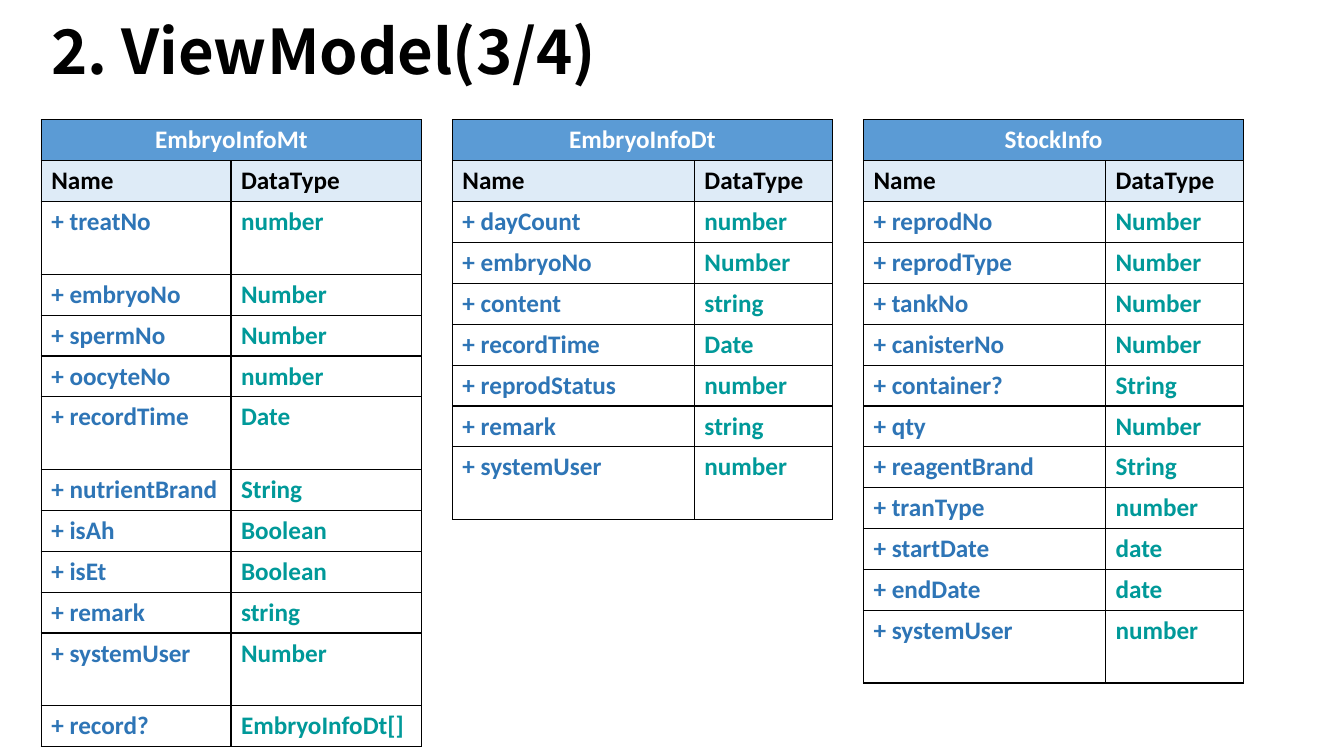
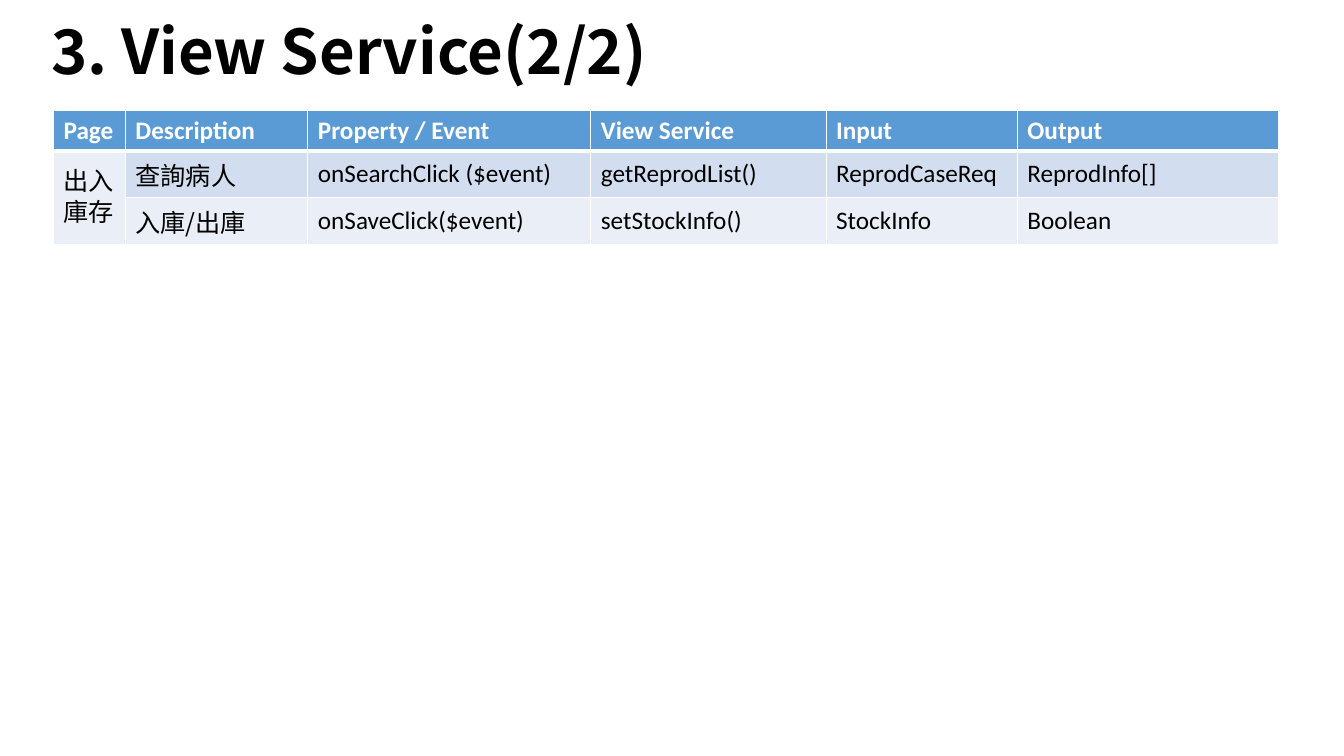
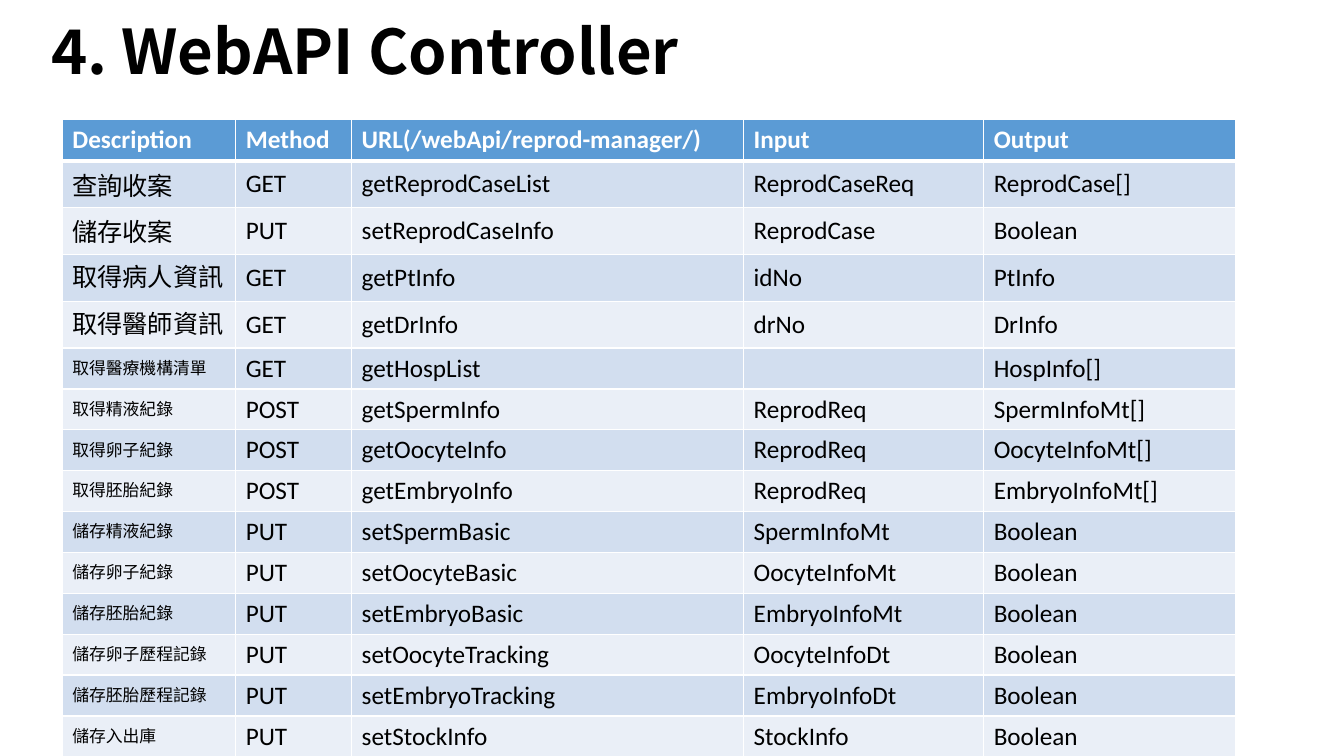
import dataclasses

import lxml.etree
import pptx
import pptx.dml.color
import pptx.enum.text
import pptx.oxml.ns
import pptx.util

Cm = pptx.util.Cm
Pt = pptx.util.Pt
qn = pptx.oxml.ns.qn
ANCHOR = pptx.enum.text.MSO_ANCHOR
ALIGN = pptx.enum.text.PP_ALIGN


@dataclasses.dataclass(frozen=True)
class Theme:
    black: str = "000000"
    white: str = "FFFFFF"
    header: str = "5B9BD5"
    subheader: str = "DEEBF7"
    bands: tuple = ("D2DEEF", "EAEFF7")
    member: str = "2E75B6"
    data_type: str = "009999"
    latin: str = "Calibri"
    cjk: str = "Noto Sans CJK SC"
    cjk_alternate: str = "Arial"
    title_size: int = 44
    body_size: int = 18
    small_size: int = 12
    thin: int = 1
    thick: int = 3
    row: float = 1.03
    cjk_row: float = 1.18
    tall_row: float = 1.83


THEME = Theme()

MODELS = [
    ("EmbryoInfoMt", (4.78, 4.8), {"treatNo", "recordTime", "systemUser"}, [
        ("treatNo", "number"), ("embryoNo", "Number"), ("spermNo", "Number"),
        ("oocyteNo", "number"), ("recordTime", "Date"), ("nutrientBrand", "String"),
        ("isAh", "Boolean"), ("isEt", "Boolean"), ("remark", "string"),
        ("systemUser", "Number"), ("record?", "EmbryoInfoDt[]"),
    ]),
    ("EmbryoInfoDt", (6.1, 3.48), {"systemUser"}, [
        ("dayCount", "number"), ("embryoNo", "Number"), ("content", "string"),
        ("recordTime", "Date"), ("reprodStatus", "number"), ("remark", "string"),
        ("systemUser", "number"),
    ]),
    ("StockInfo", (6.1, 3.48), {"systemUser"}, [
        ("reprodNo", "Number"), ("reprodType", "Number"), ("tankNo", "Number"),
        ("canisterNo", "Number"), ("container?", "String"), ("qty", "Number"),
        ("reagentBrand", "String"), ("tranType", "number"), ("startDate", "date"),
        ("endDate", "date"), ("systemUser", "number"),
    ]),
]

SERVICES = [
    ("Page", "Description", "Property / Event", "View Service", "Input", "Output"),
    ("出入庫存", "查詢病人", "onSearchClick ($event)", "getReprodList()", "ReprodCaseReq", "ReprodInfo[]"),
    ("", "入庫/出庫", "onSaveClick($event)", "setStockInfo()", "StockInfo", "Boolean"),
]

ENDPOINTS = [
    ("Description", "Method", "URL(/webApi/reprod-manager/)", "Input", "Output"),
    ("查詢收案", "GET", "getReprodCaseList", "ReprodCaseReq", "ReprodCase[]"),
    ("儲存收案", "PUT", "setReprodCaseInfo", "ReprodCase", "Boolean"),
    ("取得病人資訊", "GET", "getPtInfo", "idNo", "PtInfo"),
    ("取得醫師資訊", "GET", "getDrInfo", "drNo", "DrInfo"),
    ("取得醫療機構清單", "GET", "getHospList", "", "HospInfo[]"),
    ("取得精液紀錄", "POST", "getSpermInfo", "ReprodReq", "SpermInfoMt[]"),
    ("取得卵子紀錄", "POST", "getOocyteInfo", "ReprodReq", "OocyteInfoMt[]"),
    ("取得胚胎紀錄", "POST", "getEmbryoInfo", "ReprodReq", "EmbryoInfoMt[]"),
    ("儲存精液紀錄", "PUT", "setSpermBasic", "SpermInfoMt", "Boolean"),
    ("儲存卵子紀錄", "PUT", "setOocyteBasic", "OocyteInfoMt", "Boolean"),
    ("儲存胚胎紀錄", "PUT", "setEmbryoBasic", "EmbryoInfoMt", "Boolean"),
    ("儲存卵子歷程記錄", "PUT", "setOocyteTracking", "OocyteInfoDt", "Boolean"),
    ("儲存胚胎歷程記錄", "PUT", "setEmbryoTracking", "EmbryoInfoDt", "Boolean"),
    ("儲存入出庫", "PUT", "setStockInfo", "StockInfo", "Boolean"),
]


def rgb(color):
    return pptx.dml.color.RGBColor.from_string(color)


def write_text(para, text, color, font=THEME.latin, size=THEME.body_size, bold=False):
    span = para.add_run()
    span.text = text
    for name, value in {"name": font, "size": Pt(size), "bold": bold}.items():
        setattr(span.font, name, value)
    span.font.color.rgb = rgb(color)
    properties = span._r.get_or_add_rPr()
    lxml.etree.SubElement(properties, qn("a:ea")).set("typeface", font)


def add_titled_slide(deck, title):
    slide = deck.slides.add_slide(deck.slide_layouts[6])
    box = slide.shapes.add_textbox(Cm(1.04), Cm(-0.25), Cm(23.62), Cm(3.25))
    box.text_frame.word_wrap = True
    box.text_frame.vertical_anchor = ANCHOR.MIDDLE
    para = box.text_frame.paragraphs[0]
    para.line_spacing = 0.9
    write_text(para, title, THEME.black, THEME.cjk, THEME.title_size, True)
    return slide


def add_plain_table(slide, left, top, widths, heights):
    """Add a table with the given column widths and row heights, without banding."""
    frame = slide.shapes.add_table(
        len(heights), len(widths), Cm(left), Cm(top), Cm(sum(widths)), Cm(sum(heights)))
    table = frame.table
    table.first_row = table.horz_banding = False
    for column, width in zip(table.columns, widths):
        column.width = Cm(width)
    for row, height in zip(table.rows, heights):
        row.height = Cm(height)
    return table


def style_cell(cell, fill, border, anchor, top=THEME.thin, bottom=THEME.thin):
    """Set borders, then fill (None for no fill), as the schema orders them."""
    properties = cell._tc.get_or_add_tcPr()
    edges = {"a:lnL": THEME.thin, "a:lnR": THEME.thin, "a:lnT": top, "a:lnB": bottom}
    for tag, width in edges.items():
        line = lxml.etree.SubElement(properties, qn(tag), w=str(Pt(width)))
        solid = lxml.etree.SubElement(line, qn("a:solidFill"))
        lxml.etree.SubElement(solid, qn("a:srgbClr"), val=border)
    if fill is None:
        cell.fill.background()
    else:
        cell.fill.solid()
        cell.fill.fore_color.rgb = rgb(fill)
    cell.vertical_anchor = anchor


def add_model_table(slide, left, title, widths, tall, members):
    rows = [(title, ""), ("Name", "DataType")]
    rows += [(f"+ {name}", kind) for name, kind in members]
    heights = [THEME.row] * 2
    heights += [THEME.tall_row if name in tall else THEME.row for name, _ in members]
    table = add_plain_table(slide, left, 3.02, widths, heights)
    heading_styles = [(THEME.header, (THEME.white,) * 2), (THEME.subheader, (THEME.black,) * 2)]
    member_style = (None, (THEME.member, THEME.data_type))
    for r, texts in enumerate(rows):
        fill, colors = heading_styles[r] if r < 2 else member_style
        for c, text in enumerate(texts):
            cell = table.cell(r, c)
            style_cell(cell, fill, THEME.black, ANCHOR.TOP)
            if text:
                write_text(cell.text_frame.paragraphs[0], text, colors[c], bold=True)
    table.cell(0, 0).merge(table.cell(0, 1))
    table.cell(0, 0).text_frame.paragraphs[0].alignment = ALIGN.CENTER


def add_banded_table(slide, left, top, widths, heights, rows, cjk_formats):
    """cjk_formats maps (row, column) to the font and size of that cell."""
    table = add_plain_table(slide, left, top, widths, heights)
    for r, texts in enumerate(rows):
        is_header = r == 0
        fill = THEME.header if is_header else THEME.bands[(r - 1) % 2]
        for c, text in enumerate(texts):
            cell = table.cell(r, c)
            style_cell(cell, fill, THEME.white, ANCHOR.MIDDLE,
                       top=THEME.thick if r == 1 else THEME.thin,
                       bottom=THEME.thick if is_header else THEME.thin)
            if text:
                write_text(cell.text_frame.paragraphs[0], text,
                           THEME.white if is_header else THEME.black,
                           bold=is_header, **cjk_formats.get((r, c), {}))
    return table


def build_view_model(deck):
    slide = add_titled_slide(deck, "2. ViewModel(3/4)")
    for index, model in enumerate(MODELS):
        add_model_table(slide, 1.04 + 10.36 * index, *model)


def build_view_service(deck):
    slide = add_titled_slide(deck, "3. View Service(2/2)")
    widths = (1.81, 4.6, 7.13, 5.93, 4.82, 6.58)
    heights = [THEME.row] + [THEME.cjk_row] * 2
    formats = {(r, 1): {"font": THEME.cjk} for r in (1, 2)}
    table = add_banded_table(slide, 1.35, 2.77, widths, heights, SERVICES, formats)
    page_cell = table.cell(1, 0)
    page_cell.merge(table.cell(2, 0))
    page_cell.fill.fore_color.rgb = rgb(THEME.bands[1])


def build_controller(deck):
    slide = add_titled_slide(deck, "4. WebAPI Controller")
    widths = (4.37, 2.92, 9.88, 6.05, 6.35)
    large_rows = 4
    small_rows = len(ENDPOINTS) - 1 - large_rows
    heights = [THEME.row] + [THEME.cjk_row] * large_rows + [THEME.row] * small_rows
    formats = {
        (r, 0): {"font": THEME.cjk if r <= 2 else THEME.cjk_alternate,
                 "size": THEME.body_size if r <= large_rows else THEME.small_size}
        for r in range(1, len(ENDPOINTS))
    }
    add_banded_table(slide, 1.57, 3.02, widths, heights, ENDPOINTS, formats)


def main():
    deck = pptx.Presentation()
    deck.slide_width, deck.slide_height = Cm(33.87), Cm(19.05)
    for build in (build_view_model, build_view_service, build_controller):
        build(deck)
    deck.save("out.pptx")


if __name__ == "__main__":
    main()
